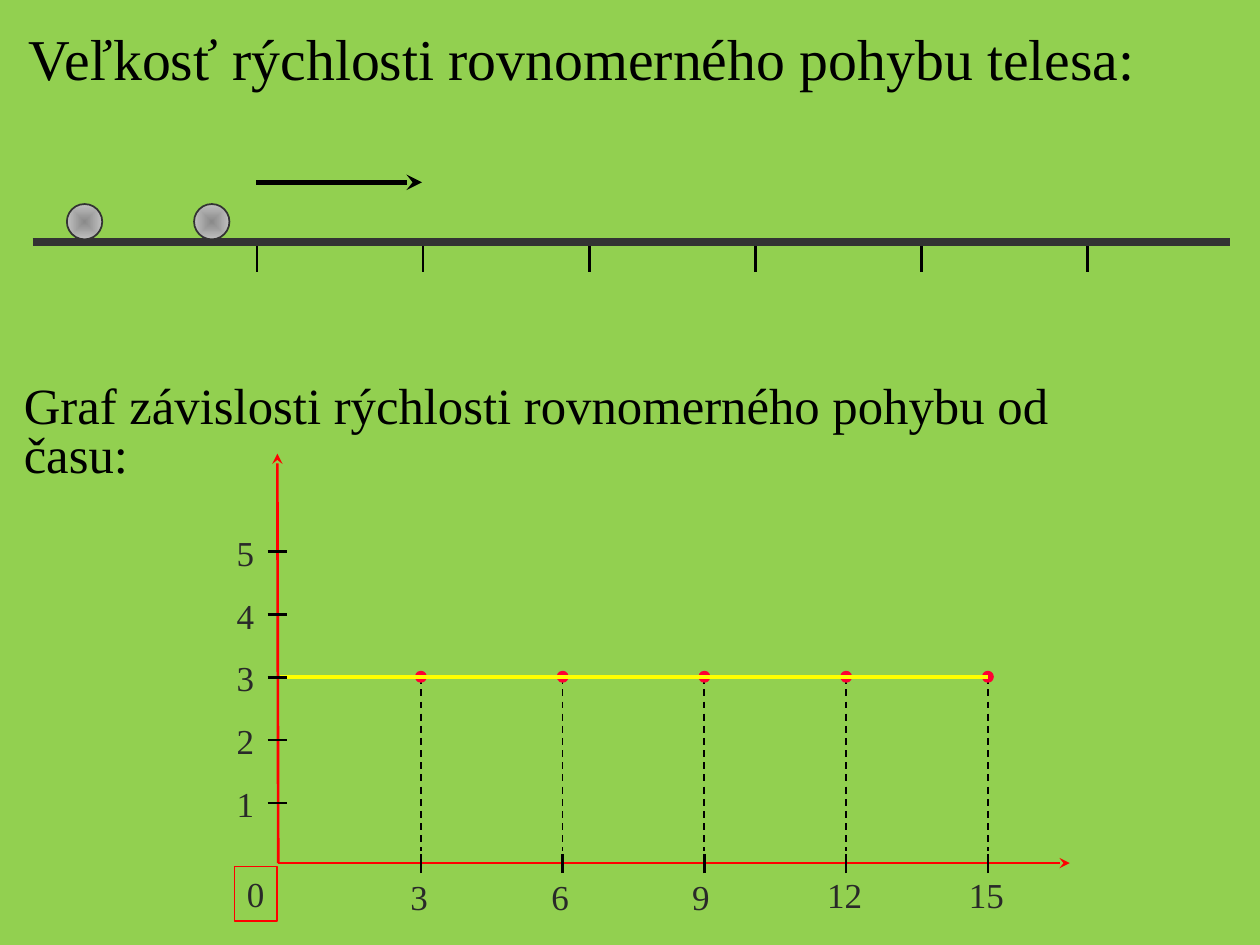
from lxml.etree import SubElement
from pptx import Presentation
from pptx.dml.color import RGBColor
from pptx.enum.dml import MSO_LINE
from pptx.enum.shapes import MSO_CONNECTOR, MSO_SHAPE
from pptx.oxml.ns import qn
from pptx.util import Pt


def rgb(value):
    return RGBColor.from_string(value)


class Board:
    font = "Times New Roman"
    ink, label_ink, axis = "000000", "292929", "FF0000"
    background, dot_red = "92D050", "FF0033"

    def __init__(self, prs):
        self.s = prs.slides.add_slide(prs.slide_layouts[6])
        fill = self.s.background.fill
        fill.solid()
        fill.fore_color.rgb = rgb(self.background)

    def text(self, x, y, w, h, text, size, color, wrap=False, spacing=None):
        sp = self.s.shapes.add_textbox(Pt(x), Pt(y), Pt(w), Pt(h))
        tf = sp.text_frame
        tf.word_wrap = wrap
        p = tf.paragraphs[0]
        p.text = text
        p.line_spacing = spacing
        p.font.name, p.font.size = self.font, Pt(size)
        p.font.color.rgb = rgb(color)
        return sp

    def label(self, x, y, text, w=24.5):
        return self.text(x, y, w, 31, text, 20, self.label_ink)

    def line(self, x1, y1, x2, y2, color=ink, width=1.5, dash=False, arrow=False):
        c = self.s.shapes.add_connector(
            MSO_CONNECTOR.STRAIGHT, Pt(x1), Pt(y1), Pt(x2), Pt(y2))
        c.line.color.rgb = rgb(color)
        c.line.width = Pt(width)
        if dash:
            c.line.dash_style = MSO_LINE.DASH
        sp_pr = c._element.spPr
        if arrow:
            SubElement(sp_pr.find(qn("a:ln")), qn("a:tailEnd"), {"type": "stealth"})
        SubElement(sp_pr, qn("a:effectLst"))

    def circle(self, x, y, d, color, outline):
        sp = self.s.shapes.add_shape(MSO_SHAPE.OVAL, Pt(x), Pt(y), Pt(d), Pt(d))
        sp.shadow.inherit = False
        sp.fill.solid()
        sp.fill.fore_color.rgb = rgb(color)
        sp.line.color.rgb = rgb(outline)
        sp.line.width = Pt(1)
        return sp

    def ball(self, x, y, d):
        sp = self.circle(x, y, d, "C0C0C0", "333333")
        sp.fill.gradient()
        for stop, color in zip(sp.fill.gradient_stops, ("898989", "C0C0C0")):
            stop.color.rgb = rgb(color)
        grad = sp._element.spPr.find(qn("a:gradFill"))
        grad.remove(grad.find(qn("a:lin")))
        shade = SubElement(grad, qn("a:path"), {"path": "shape"})
        SubElement(shade, qn("a:fillToRect"), dict.fromkeys("ltrb", "50000"))


def main():
    prs = Presentation()
    prs.slide_width, prs.slide_height = Pt(720), Pt(540)
    b = Board(prs)

    # Headings
    b.text(9.4, 9.4, 650, 46.8, "Veľkosť rýchlosti rovnomerného pohybu telesa:", 33, b.ink)
    heading = b.text(6.5, 211.7, 660, 41.8,
                     "Graf závislosti rýchlosti rovnomerného pohybu od času:",
                     29, b.ink, wrap=True, spacing=0.8)
    heading.fill.solid()
    heading.fill.fore_color.rgb = rgb(b.background)
    heading.text_frame.margin_top = Pt(8.6)
    heading.text_frame.margin_bottom = Pt(5.8)

    # Track with distance marks, balls and direction of motion
    for i in range(6):
        x = 146.9 + 94.9 * i
        b.line(x, 138.5, x, 155.5)
    b.line(18.7, 138.2, 702.7, 138.2, "333333", 4.5)
    for x in (38.2, 110.9):
        b.ball(x, 116.6, 20.2)
    b.line(146.4, 104.2, 241.2, 104.2, width=3, arrow=True)

    # Axes and origin
    left, base, step_x, step_y = 159, 493.2, 81, 35.9
    times = [240.5 + step_x * i for i in range(5)]
    speeds = [458.8 - step_y * i for i in range(5)]
    level = speeds[2]
    origin = b.label(134, 495.2, "0")
    origin.line.color.rgb = rgb(b.axis)
    origin.line.width = Pt(1)
    b.line(left, base, left - 0.5, 259.2, b.axis, arrow=True)
    b.line(left, base, 611.3, base, b.axis, arrow=True)

    # Scale labels and time marks
    for i, y in enumerate(speeds):
        b.label(128.2, y - 15.2, str(i + 1))
    for i, x in enumerate(times):
        time = str(3 * (i + 1))
        b.line(x, 499, x, 488.2)
        if len(time) == 1:
            b.label(x - 13 - 0.5 * i, 496.5, time)
        else:
            b.label(x - 18, 495.4, time, w=34.5)

    # Guides, measured points and the speed line
    for x in times:
        b.line(x, level, x, 486, width=1, dash=True)
    for start, end in zip([164] + times, times):
        b.line(end, level, start, level, width=1, dash=True)
    for x in times:
        b.circle(x - 2.9, level - 3.2, 5.8, b.dot_red, b.dot_red)
    b.line(160, level, times[-1], level, "FFFF00", 2.25)
    for y in speeds:
        b.line(153, y, 163.8, y)

    prs.save("out.pptx")


if __name__ == "__main__":
    main()
